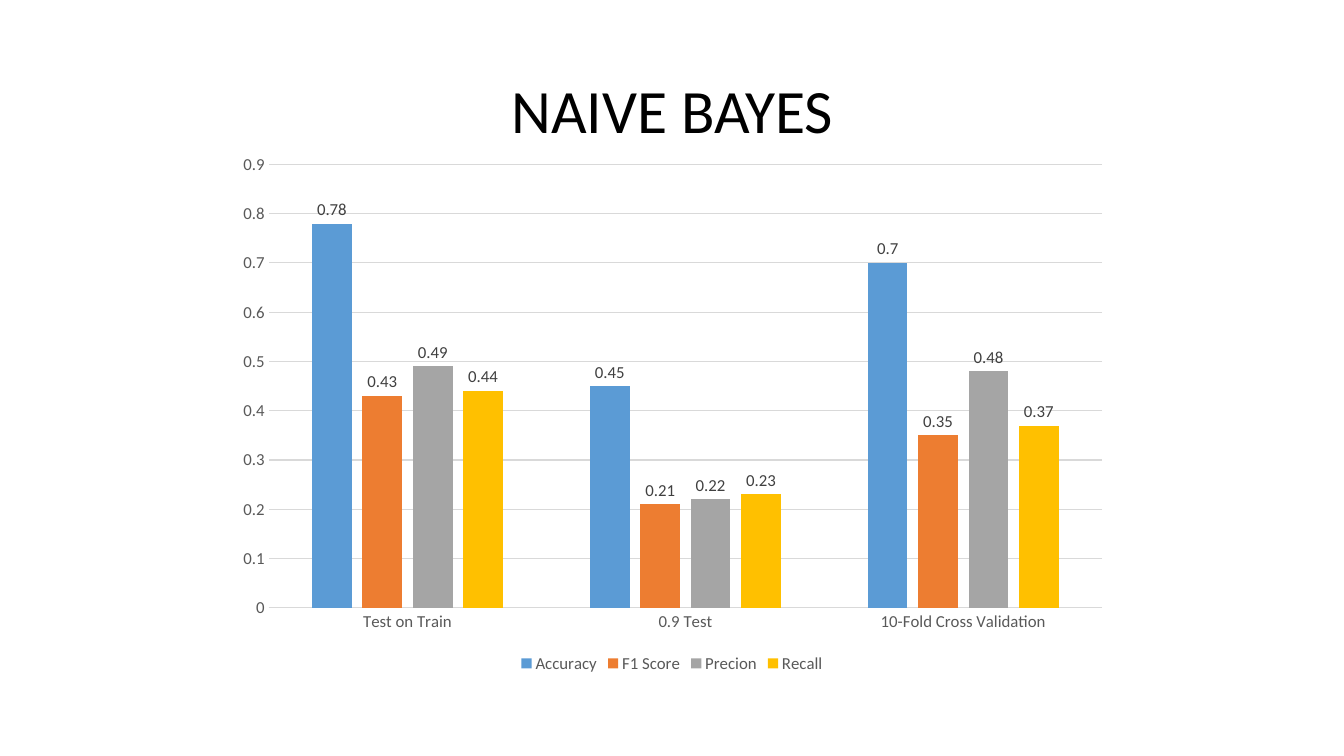
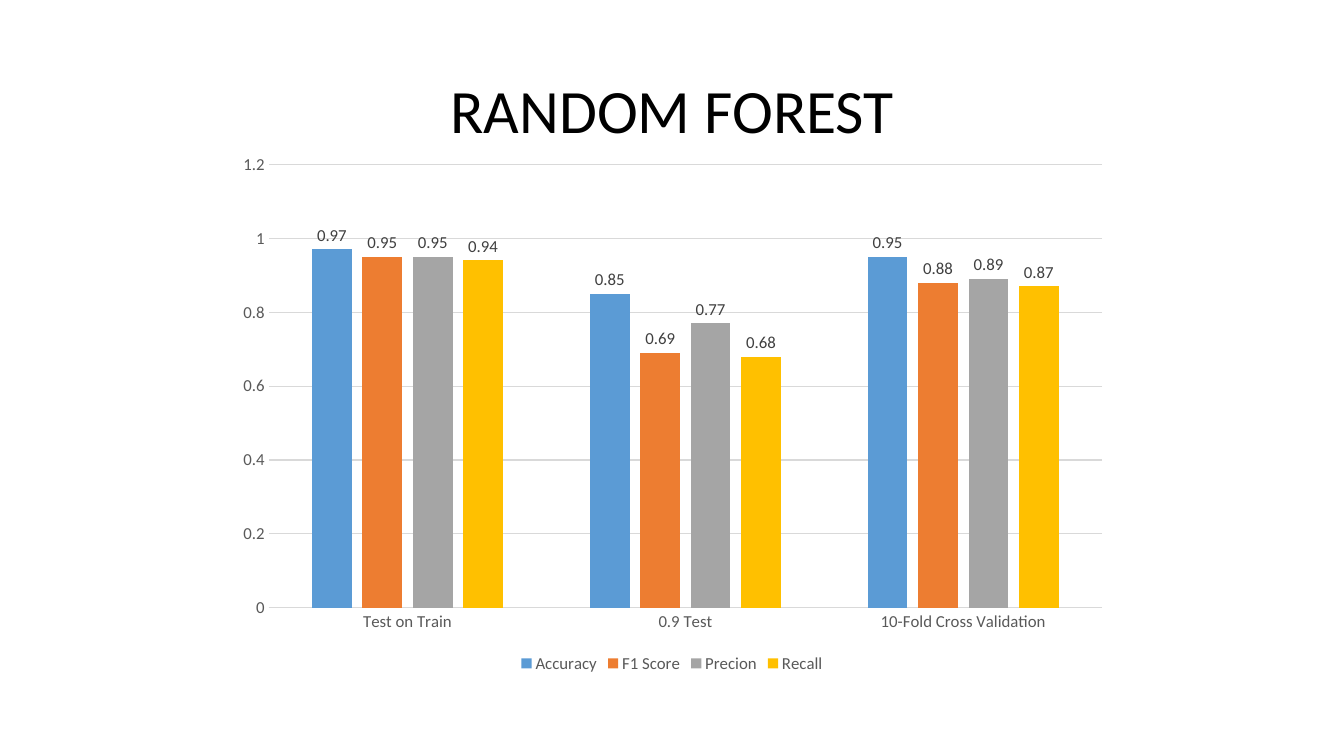
from pptx import Presentation
from pptx.chart.data import CategoryChartData
from pptx.dml.color import RGBColor
from pptx.enum.chart import XL_CHART_TYPE, XL_LABEL_POSITION, XL_LEGEND_POSITION, XL_TICK_MARK
from pptx.enum.text import MSO_ANCHOR, PP_ALIGN
from pptx.oxml import parse_xml
from pptx.oxml.ns import nsdecls, qn
from pptx.util import Inches, Pt

COLUMNS = XL_CHART_TYPE.COLUMN_CLUSTERED
OUTSIDE_END = XL_LABEL_POSITION.OUTSIDE_END
BOTTOM = XL_LEGEND_POSITION.BOTTOM
NO_TICK = XL_TICK_MARK.NONE
MIDDLE = MSO_ANCHOR.MIDDLE
CENTER = PP_ALIGN.CENTER

FONT = "Calibri"
TITLE_COLOR, AXIS_COLOR, LABEL_COLOR, GRID_COLOR = "000000", "595959", "404040", "D9D9D9"
METRICS = {"Accuracy": "5B9BD5", "F1 Score": "ED7D31", "Precion": "A5A5A5", "Recall": "FFC000"}
TESTS = ["Test on Train", "0.9 Test", "10-Fold Cross Validation"]
# Plot area as fractions of the chart frame
PLOT_AREA = {"x": 0.05, "y": 0.04, "w": 0.93, "h": 0.83}

MODELS = [
    {
        "title": "NAIVE BAYES", "maximum": 0.9, "step": 0.1,
        "scores": [(0.78, 0.45, 0.7), (0.43, 0.21, 0.35), (0.49, 0.22, 0.48), (0.44, 0.23, 0.37)],
    },
    {
        "title": "RANDOM FOREST", "maximum": 1.2, "step": 0.2,
        "scores": [(0.97, 0.85, 0.95), (0.95, 0.69, 0.88), (0.95, 0.77, 0.89), (0.94, 0.68, 0.87)],
    },
]


def color(hex_code):
    """Turn a hex string into a colour."""
    return RGBColor.from_string(hex_code)


def style_font(font, size, hex_code):
    """Apply the deck's typeface with a size in points and a colour."""
    for name, value in {"name": FONT, "size": Pt(size), "bold": False}.items():
        setattr(font, name, value)
    font.color.rgb = color(hex_code)


deck = Presentation()
deck.slide_width, deck.slide_height = Inches(13.33), Inches(7.5)
blank = deck.slide_layouts[6]

for model in MODELS:
    page = deck.slides.add_slide(blank)

    # Title
    title_box = page.shapes.add_textbox(Inches(0.92), Inches(0.4), Inches(11.5), Inches(1.45))
    frame = title_box.text_frame
    frame.word_wrap, frame.vertical_anchor = True, MIDDLE
    para = frame.paragraphs[0]
    para.alignment, para.line_spacing = CENTER, 0.9
    span = para.add_run()
    span.text = model["title"]
    style_font(span.font, 44, TITLE_COLOR)

    # Score chart
    data = CategoryChartData()
    data.categories = TESTS
    for metric, scores in zip(METRICS, model["scores"]):
        data.add_series(metric, scores)
    chart = page.shapes.add_chart(
        COLUMNS, Inches(2.22), Inches(1.42), Inches(8.89), Inches(5.3), data
    ).chart
    chart.has_title = False
    style_font(chart.font, 12, AXIS_COLOR)
    chart.has_legend = True
    chart.legend.position, chart.legend.include_in_layout = BOTTOM, False
    style_font(chart.legend.font, 12, AXIS_COLOR)

    # Axes
    for axis in (chart.category_axis, chart.value_axis):
        axis.major_tick_mark = axis.minor_tick_mark = NO_TICK
        style_font(axis.tick_labels.font, 12, AXIS_COLOR)
    scale = chart.value_axis
    scale.minimum_scale, scale.maximum_scale = 0, model["maximum"]
    scale.major_unit = model["step"]
    scale.format.line.fill.background()
    scale.has_major_gridlines = True
    for line in (chart.category_axis.format.line, scale.major_gridlines.format.line):
        line.color.rgb, line.width = color(GRID_COLOR), Pt(0.75)

    # Columns and their values
    plot = chart.plots[0]
    plot.gap_width, plot.overlap, plot.vary_by_categories = 219, -27, False
    for series in plot.series:
        series.format.fill.solid()
        series.format.fill.fore_color.rgb = color(METRICS[series.name])
        labels = series.data_labels
        labels.show_value, labels.position = True, OUTSIDE_END
        style_font(labels.font, 12, LABEL_COLOR)

    # Fixed plot area
    area = chart.element.find(".//" + qn("c:plotArea"))
    for old_layout in area.findall(qn("c:layout")):
        area.remove(old_layout)
    sides = "".join(f'<c:{side}Mode val="edge"/>' for side in "xy")
    sides += "".join(f'<c:{side} val="{share}"/>' for side, share in PLOT_AREA.items())
    area.insert(0, parse_xml(
        f'<c:layout {nsdecls("c")}><c:manualLayout><c:layoutTarget val="inner"/>'
        f"{sides}</c:manualLayout></c:layout>"
    ))

deck.save("out.pptx")
